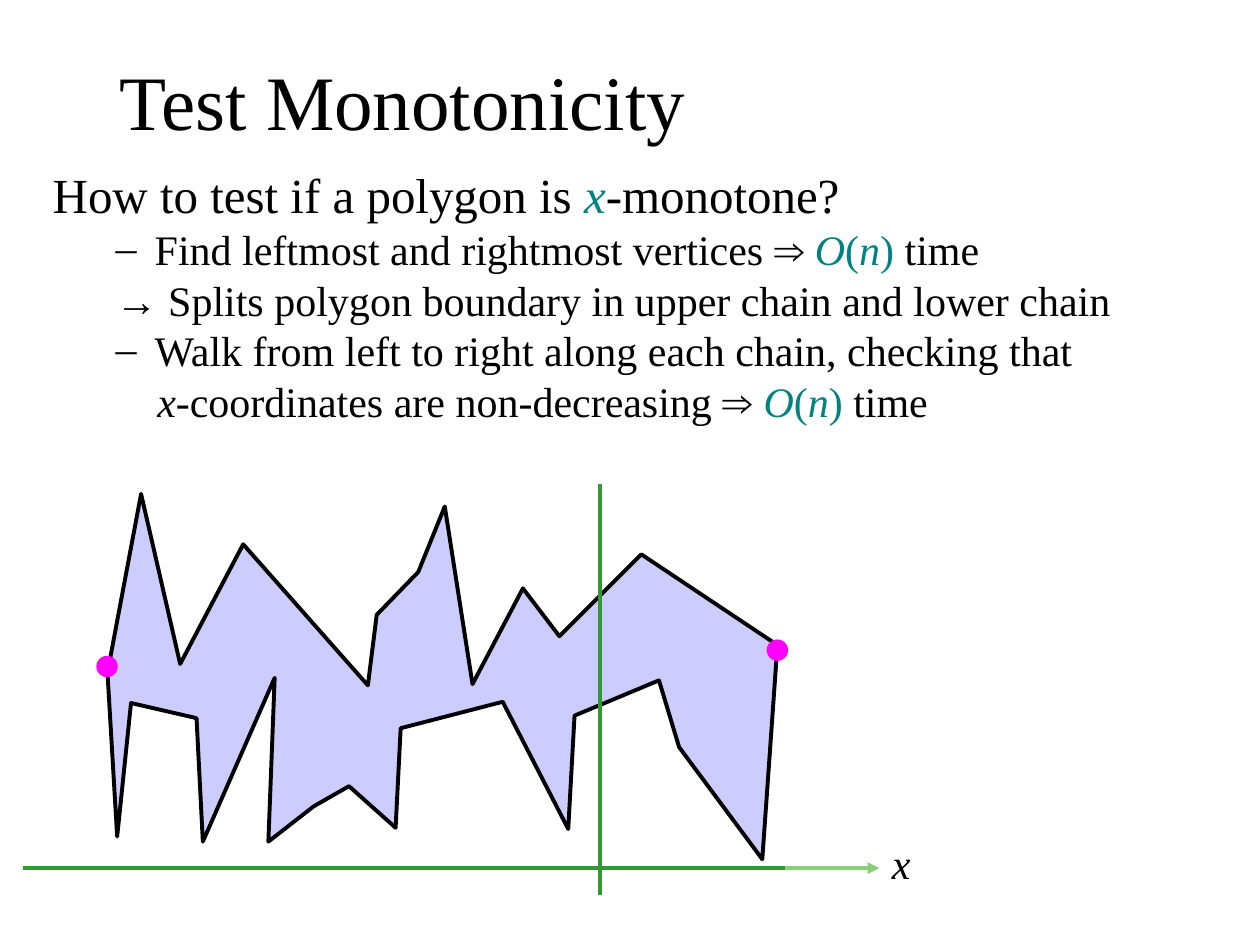
"""Build the slide on testing whether a polygon is x-monotone."""
from typing import NamedTuple

from lxml import etree
from pptx import Presentation
from pptx.dml.color import RGBColor
from pptx.enum import shapes, text
from pptx.oxml import ns
from pptx.util import Pt

PX = 9144
FONT = "Times New Roman"
BLACK = RGBColor(0x00, 0x00, 0x00)
TEAL = RGBColor(0x00, 0x83, 0x80)
GREEN = RGBColor(0x33, 0x99, 0x33)
LIGHT_GREEN = RGBColor(0x87, 0xD0, 0x78)
LAVENDER = RGBColor(0xCC, 0xCC, 0xFF)
MAGENTA = RGBColor(0xFF, 0x00, 0xFF)
LINE_WIDTH = Pt(2.25)


class Piece(NamedTuple):
    wording: str
    italic: bool = False
    color: RGBColor = BLACK


class Line(NamedTuple):
    pieces: list[Piece]
    size: int = 24
    margin: int = 0
    indent: int = 0
    bullet: str = ""


class Axis(NamedTuple):
    start: tuple[int, int]
    end: tuple[int, int]
    color: RGBColor
    arrow: bool = False


LINEAR_TIME = [Piece("O", True, TEAL), Piece("(", False, TEAL), Piece("n", True, TEAL),
               Piece(")", False, TEAL), Piece(" time")]
STEP = {"margin": 81, "indent": -31}
STEPS = [
    Line([Piece("How to test if a polygon is "), Piece("x", True, TEAL),
          Piece("-monotone?")], size=28),
    Line([Piece("Find leftmost and rightmost vertices ⇒ "), *LINEAR_TIME], bullet="–", **STEP),
    Line([Piece("→ Splits polygon boundary in upper chain and lower chain")], **STEP),
    Line([Piece("Walk from left to right along each chain, checking that")], bullet="–", **STEP),
    Line([Piece("x", True), Piece("-coordinates are non-decreasing ⇒ "), *LINEAR_TIME],
         margin=83),
]

LEFTMOST = (85, 529)
RIGHTMOST = (617, 516)
UPPER_CHAIN = [(87, 525), (112, 392), (143, 527), (193, 432), (292, 544), (299, 488),
               (332, 454), (353, 402), (375, 543), (415, 467), (444, 505), (509, 440),
               (617, 512)]
LOWER_CHAIN = [(605, 682), (539, 593), (523, 540), (456, 568), (451, 658), (399, 557),
               (318, 578), (314, 657), (277, 624), (249, 640), (213, 668), (218, 538),
               (161, 668), (156, 570), (104, 558), (93, 664)]
SWEEP_LINE = Axis((476, 710), (476, 384), GREEN)
X_AXIS = Axis((18, 689), (688, 689), GREEN)
X_ARROW = Axis((623, 689), (698, 689), LIGHT_GREEN, arrow=True)


def add_runs(paragraph, pieces: list[Piece], size: int) -> None:
    """Append formatted runs to a paragraph."""
    for piece in pieces:
        run = paragraph.add_run()
        run.text = piece.wording
        run.font.name = FONT
        run.font.size = Pt(size)
        run.font.italic = piece.italic
        run.font.color.rgb = piece.color


def set_bullet(paragraph, mark: str) -> None:
    """Give a paragraph a black bullet character."""
    properties = paragraph._p.get_or_add_pPr()
    tint = etree.SubElement(properties, ns.qn("a:buClr"))
    etree.SubElement(tint, ns.qn("a:srgbClr"), val=str(BLACK))
    etree.SubElement(properties, ns.qn("a:buFont"), typeface=FONT)
    etree.SubElement(properties, ns.qn("a:buChar"), char=mark)


def add_title(slide, wording: str) -> None:
    """Place and format the title placeholder."""
    title = slide.shapes.title
    title.left, title.top, title.width, title.height = (
        side * PX for side in (85, 33, 825, 92))
    frame = title.text_frame
    frame.vertical_anchor = text.MSO_ANCHOR.MIDDLE
    frame.auto_size = text.MSO_AUTO_SIZE.NONE
    paragraph = frame.paragraphs[0]
    paragraph.alignment = text.PP_ALIGN.LEFT
    add_runs(paragraph, [Piece(wording)], 44)


def add_steps(slide, lines: list[Line]) -> None:
    """Write the question and the steps that answer it."""
    frame = slide.shapes.add_textbox(32 * PX, 135 * PX, 936 * PX, 213 * PX).text_frame
    frame.word_wrap = True
    for index, line in enumerate(lines):
        paragraph = frame.add_paragraph() if index else frame.paragraphs[0]
        properties = paragraph._p.get_or_add_pPr()
        properties.set("marL", str(line.margin * PX))
        properties.set("indent", str(line.indent * PX))
        if line.bullet:
            set_bullet(paragraph, line.bullet)
        paragraph.line_spacing = 0.8
        if index:
            paragraph.space_before = Pt(5.8)
        add_runs(paragraph, line.pieces, line.size)


def add_polygon(slide, points: list[tuple[int, int]]) -> None:
    """Draw the closed polygon with rounded corners."""
    builder = slide.shapes.build_freeform(*points[0], scale=PX)
    builder.add_line_segments(points[1:], close=True)
    polygon = builder.convert_to_shape()
    polygon.shadow.inherit = False
    polygon.fill.solid()
    polygon.fill.fore_color.rgb = LAVENDER
    polygon.line.color.rgb = BLACK
    polygon.line.width = LINE_WIDTH
    etree.SubElement(polygon.line._get_or_add_ln(), ns.qn("a:round"))


def add_axis(slide, axis: Axis) -> None:
    """Draw a straight line, with an arrowhead if asked."""
    ends = (side * PX for side in (*axis.start, *axis.end))
    connector = slide.shapes.add_connector(shapes.MSO_CONNECTOR.STRAIGHT, *ends)
    connector.line.color.rgb = axis.color
    connector.line.width = LINE_WIDTH
    if axis.arrow:
        etree.SubElement(connector.line._get_or_add_ln(), ns.qn("a:tailEnd"), type="triangle")
    etree.SubElement(connector._element.spPr, ns.qn("a:effectLst"))


def add_vertex(slide, center: tuple[int, int], diameter: int = 17) -> None:
    """Mark an extreme vertex with a dot."""
    left, top = (round((side - diameter / 2) * PX) for side in center)
    dot = slide.shapes.add_shape(
        shapes.MSO_SHAPE.OVAL, left, top, diameter * PX, diameter * PX)
    dot.shadow.inherit = False
    dot.fill.solid()
    dot.fill.fore_color.rgb = MAGENTA
    dot.line.fill.background()


def add_axis_label(slide, wording: str) -> None:
    """Name the horizontal axis."""
    frame = slide.shapes.add_textbox(698 * PX, 660 * PX, 50 * PX, 50 * PX).text_frame
    frame.word_wrap = True
    add_runs(frame.paragraphs[0], [Piece(wording, True)], 24)


def main() -> None:
    """Assemble and save the slide."""
    deck = Presentation()
    deck.slide_width, deck.slide_height = 1000 * PX, 750 * PX
    slide = deck.slides.add_slide(deck.slide_layouts.get_by_name("Title Only"))
    add_title(slide, "Test Monotonicity")
    add_steps(slide, STEPS)
    add_polygon(slide, [LEFTMOST, *UPPER_CHAIN, *LOWER_CHAIN])
    for axis in (X_AXIS, SWEEP_LINE, X_ARROW):
        add_axis(slide, axis)
    add_axis_label(slide, "x")
    for vertex in (RIGHTMOST, LEFTMOST):
        add_vertex(slide, vertex)
    deck.save("out.pptx")


if __name__ == "__main__":
    main()
